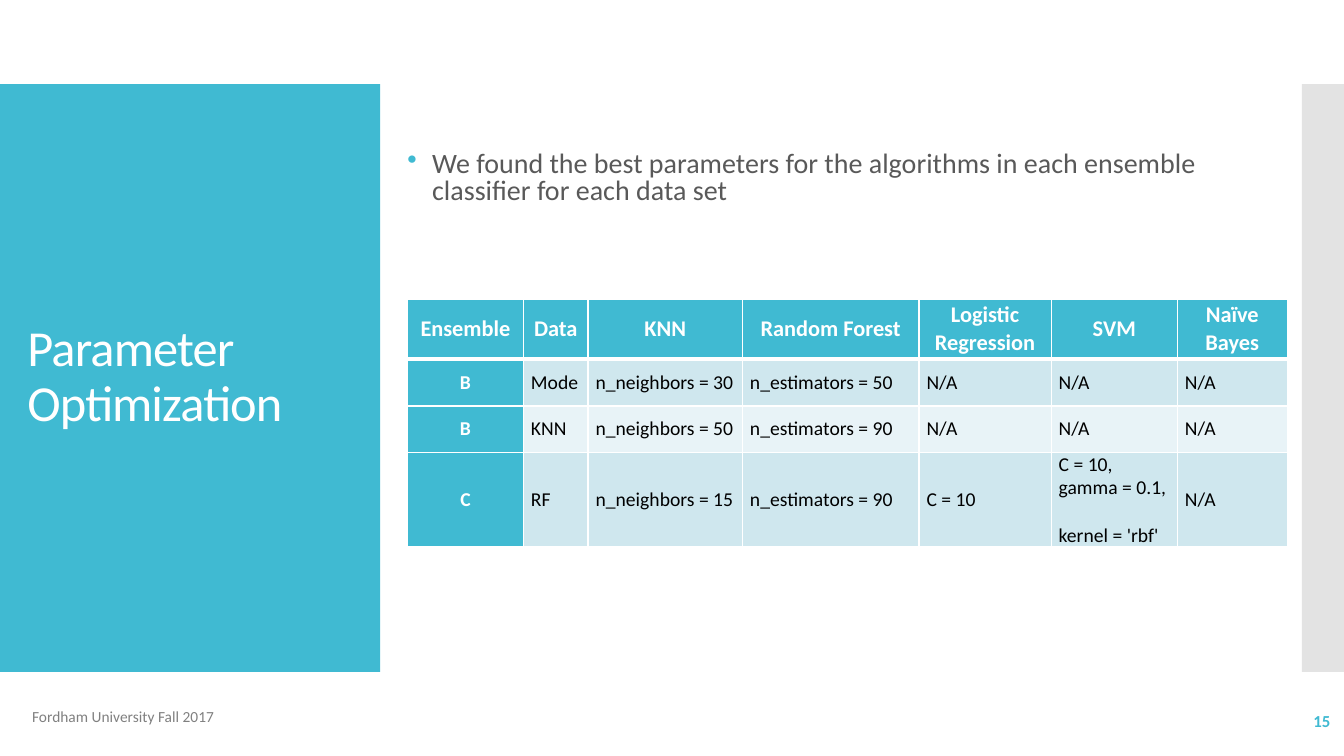
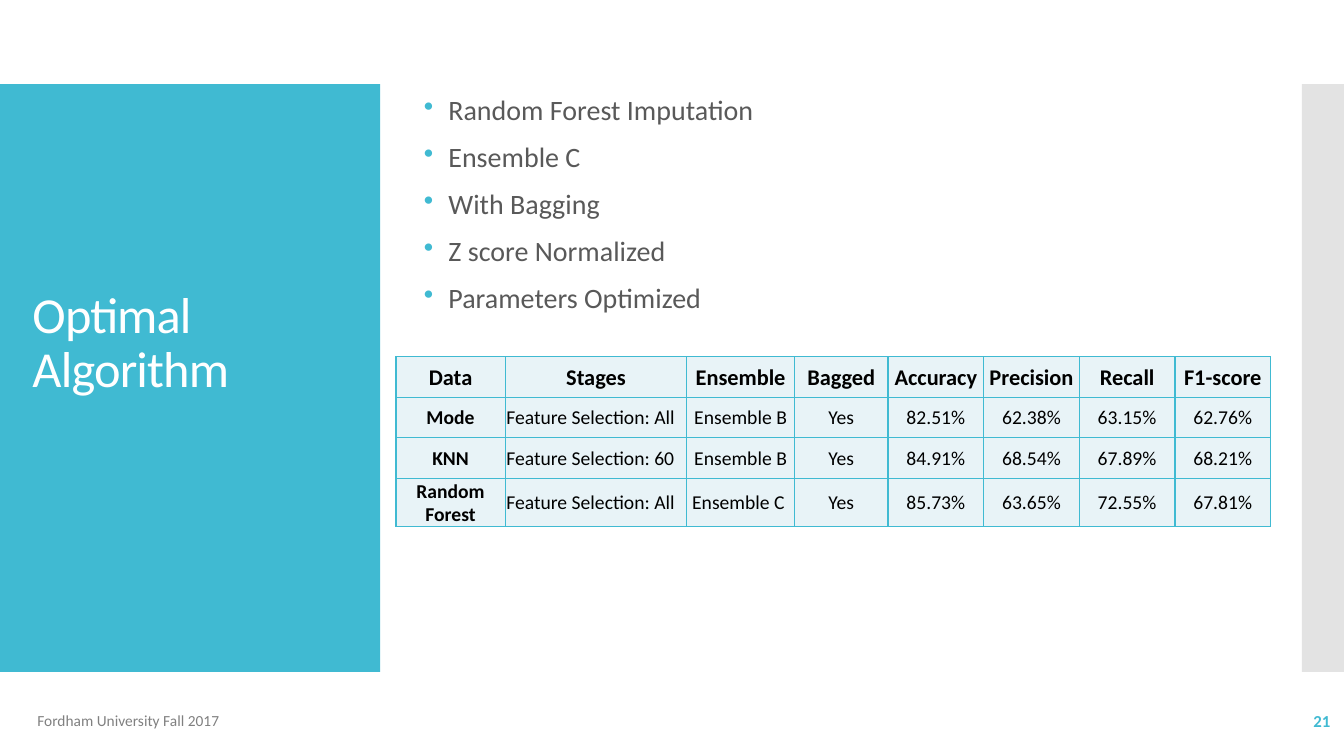
"""Build two slides on ensemble parameters and the optimal algorithm."""
from copy import deepcopy

from lxml import etree
from pptx import Presentation
from pptx.dml.color import RGBColor
from pptx.enum import shapes, text
from pptx.oxml.ns import qn
from pptx.util import Cm, Pt

TEAL = RGBColor(0x40, 0xBA, 0xD2)
SILVER = RGBColor(0xC8, 0xC8, 0xC8)
PALE = RGBColor(0xE8, 0xF3, 0xF7)
LIGHT = RGBColor(0xCF, 0xE7, 0xEE)
WHITE = RGBColor(0xFF, 0xFF, 0xFF)
BLACK = RGBColor(0, 0, 0)
INK = RGBColor(0x59, 0x59, 0x59)
GRAY = RGBColor(0x80, 0x80, 0x80)

FONT = "Calibri"
LEFT, CENTER, RIGHT = text.PP_ALIGN.LEFT, text.PP_ALIGN.CENTER, text.PP_ALIGN.RIGHT
MIDDLE, TOP = text.MSO_ANCHOR.MIDDLE, text.MSO_ANCHOR.TOP
SLIDE_W, SLIDE_H = 33.87, 19.05
BAND_TOP, BAND_H, TITLE_BAND_W, EDGE_BAND_W = 2.12, 14.81, 9.58, 1.06
FOOTER = "Fordham University Fall 2017"

PARAMETERS = [
    ("Ensemble", "Data", "KNN", "Random Forest", "Logistic Regression", "SVM", "Naïve Bayes"),
    ("B", "Mode", "n_neighbors = 30", "n_estimators = 50", "N/A", "N/A", "N/A"),
    ("B", "KNN", "n_neighbors = 50", "n_estimators = 90", "N/A", "N/A", "N/A"),
    ("C", "RF", "n_neighbors = 15", "n_estimators = 90", "C = 10",
     "C = 10, \ngamma = 0.1, \nkernel = 'rbf'", "N/A"),
]
SCORES = [
    ("Data", "Stages", "Ensemble", "Bagged", "Accuracy", "Precision", "Recall", "F1-score"),
    ("Mode", "Feature Selection: All", "Ensemble B", "Yes", "82.51%", "62.38%", "63.15%", "62.76%"),
    ("KNN", "Feature Selection: 60", "Ensemble B", "Yes", "84.91%", "68.54%", "67.89%", "68.21%"),
    ("Random Forest", "Feature Selection: All", "Ensemble C ", "Yes",
     "85.73%", "63.65%", "72.55%", "67.81%"),
]


def parameter_style(row, col):
    """Return the look of a cell in the parameter table."""
    heading = row == 0 or col == 0
    return dict(fill=TEAL if heading else (PALE, LIGHT)[row % 2],
                color=WHITE if heading else BLACK, bold=heading,
                align=CENTER if heading else LEFT)


def score_style(row, col):
    """Return the look of a cell in the score table."""
    return dict(fill=PALE, color=BLACK, bold=row == 0 or col == 0,
                align=LEFT if row and col == 1 else CENTER)


SLIDES = [
    dict(title="Parameter Optimization", title_box=(0.56, 5.89, 7.57, 7.26),
         points=["We found the best parameters for the algorithms in each ensemble "
                 "classifier for each data set"],
         points_box=(10.27, 3.59, 22.17, 1.88), spacing=0.8,
         footer_at=(0.56, 17.53), number="15",
         table=dict(rows=PARAMETERS, at=(10.27, 7.54), style=parameter_style,
                    widths=(2.92, 1.63, 3.89, 4.45, 3.33, 3.18, 2.77),
                    heights=(1.5, 1.19, 1.17, 2.36), margins=(0.19, 0, 0.19, 0),
                    line=WHITE, header_rule=3)),
    dict(title="Optimal Algorithm", title_box=(0.69, 5.64, 8.51, 6.07),
         points=["Random Forest Imputation", "Ensemble C", "With Bagging",
                 "Z score Normalized", "Parameters Optimized"],
         points_box=(10.68, 2.17, 20.4, 6.2), spacing=0.9,
         footer_at=(0.69, 17.65), number="21",
         table=dict(rows=SCORES, at=(9.98, 8.99), style=score_style,
                    widths=(2.75, 4.58, 2.71, 2.36) + (2.41,) * 4,
                    heights=(1.02,) * 4, margins=(0.03, 0.03, 0.03, 0),
                    line=TEAL, header_rule=1)),
]


def add_bullet(paragraph):
    """Give a paragraph a hanging teal bullet."""
    props = paragraph._p.get_or_add_pPr()
    props.set("marL", str(Cm(0.62)))
    props.set("indent", str(-Cm(0.62)))
    color = etree.SubElement(props, qn("a:buClr"))
    etree.SubElement(color, qn("a:srgbClr"), val=str(TEAL))
    etree.SubElement(props, qn("a:buChar"), char="•")


def write(frame, lines, size=14, color=BLACK, bold=False, align=LEFT, spacing=None,
          before=None, bullet=False, tracking=None):
    """Fill a text frame with one formatted paragraph per line."""
    frame.word_wrap = True
    for index, line in enumerate(lines):
        paragraph = frame.add_paragraph() if index else frame.paragraphs[0]
        paragraph.text = line
        paragraph.alignment = align
        paragraph.line_spacing = spacing
        paragraph.space_before = before
        if bullet:
            add_bullet(paragraph)
        for run in paragraph.runs:
            run.font.name, run.font.size, run.font.bold = FONT, Pt(size), bold
            run.font.color.rgb = color
            if tracking:
                run.font._element.set("spc", str(tracking))
        for line_break in paragraph._p.findall(qn("a:br")):
            line_break.append(deepcopy(paragraph.runs[0].font._element))


def add_text(slide, box, lines, anchor=MIDDLE, margins=(0.25, 0.13, 0.25, 0.13), **style):
    """Place a text box."""
    frame = slide.shapes.add_textbox(*map(Cm, box)).text_frame
    frame.vertical_anchor = anchor
    (frame.margin_left, frame.margin_top,
     frame.margin_right, frame.margin_bottom) = map(Cm, margins)
    write(frame, lines, **style)


def add_band(slide, left, width, color, opacity=100):
    """Draw a vertical band of the shared height."""
    band = slide.shapes.add_shape(shapes.MSO_SHAPE.RECTANGLE,
                                  *map(Cm, (left, BAND_TOP, width, BAND_H)))
    band.shadow.inherit = False
    band.line.fill.background()
    band.fill.solid()
    band.fill.fore_color.rgb = color
    if opacity < 100:
        tint = band._element.spPr.find(".//" + qn("a:srgbClr"))
        etree.SubElement(tint, qn("a:alpha"), val=str(opacity * 1000))


def add_borders(cell, color, top, bottom):
    """Rule the four sides of a cell."""
    props = cell._tc.get_or_add_tcPr()
    for side, width in zip("LRTB", (1, 1, top, bottom)):
        rule = etree.SubElement(props, qn(f"a:ln{side}"), w=str(Pt(width)))
        fill = etree.SubElement(rule, qn("a:solidFill"))
        etree.SubElement(fill, qn("a:srgbClr"), val=str(color))


def add_table(slide, rows, at, style, widths, heights, margins, line, header_rule):
    """Place a table, styling each cell by its row and column."""
    size = sum(widths), sum(heights)
    table = slide.shapes.add_table(len(rows), len(widths), *map(Cm, at + size)).table
    table.first_row = table.horz_banding = False
    for column, width in zip(table.columns, widths):
        column.width = Cm(width)
    for r, (row, height) in enumerate(zip(rows, heights)):
        table.rows[r].height = Cm(height)
        for c, value in enumerate(row):
            cell, look = table.cell(r, c), style(r, c)
            add_borders(cell, line, header_rule if r == 1 else 1, header_rule if r == 0 else 1)
            cell.fill.solid()
            cell.fill.fore_color.rgb = look.pop("fill")
            cell.vertical_anchor = MIDDLE
            (cell.margin_left, cell.margin_top,
             cell.margin_right, cell.margin_bottom) = map(Cm, margins)
            write(cell.text_frame, [value], size=14 if r else 16, **look)


def build_slide(deck, content):
    """Add one slide with its bands, title, points, footer and table."""
    slide = deck.slides.add_slide(deck.slide_layouts[6])
    add_band(slide, 0, TITLE_BAND_W, TEAL)
    add_band(slide, SLIDE_W - EDGE_BAND_W, EDGE_BAND_W, SILVER, opacity=50)
    add_text(slide, content["title_box"], [content["title"]], margins=(0.13, 0.25, 0.13, 0.25),
             size=36, color=WHITE, spacing=0.9, tracking=-60)
    add_text(slide, content["points_box"], content["points"], anchor=TOP,
             margins=(0, 0.25, 0.13, 0.25), size=20, color=INK, spacing=content["spacing"],
             before=Pt(12), bullet=True)
    add_text(slide, content["footer_at"] + (16.41, 1.02), [FOOTER], size=11, color=GRAY)
    add_text(slide, (29.54, 17.65, 4.24, 1.02), [content["number"]],
             size=12, color=TEAL, bold=True, align=RIGHT)
    add_table(slide, **content["table"])


def main():
    """Build and save the deck."""
    deck = Presentation()
    deck.slide_width, deck.slide_height = Cm(SLIDE_W), Cm(SLIDE_H)
    for content in SLIDES:
        build_slide(deck, content)
    deck.save("out.pptx")


if __name__ == "__main__":
    main()
